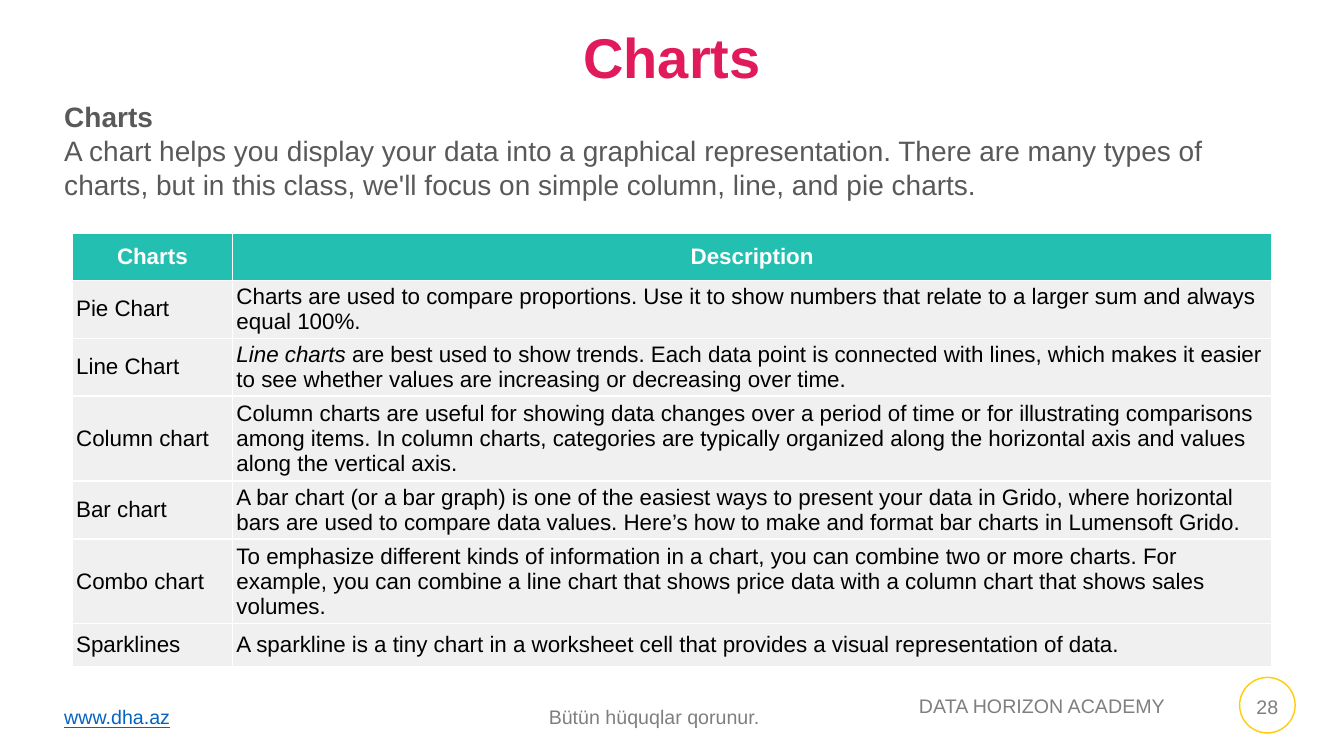
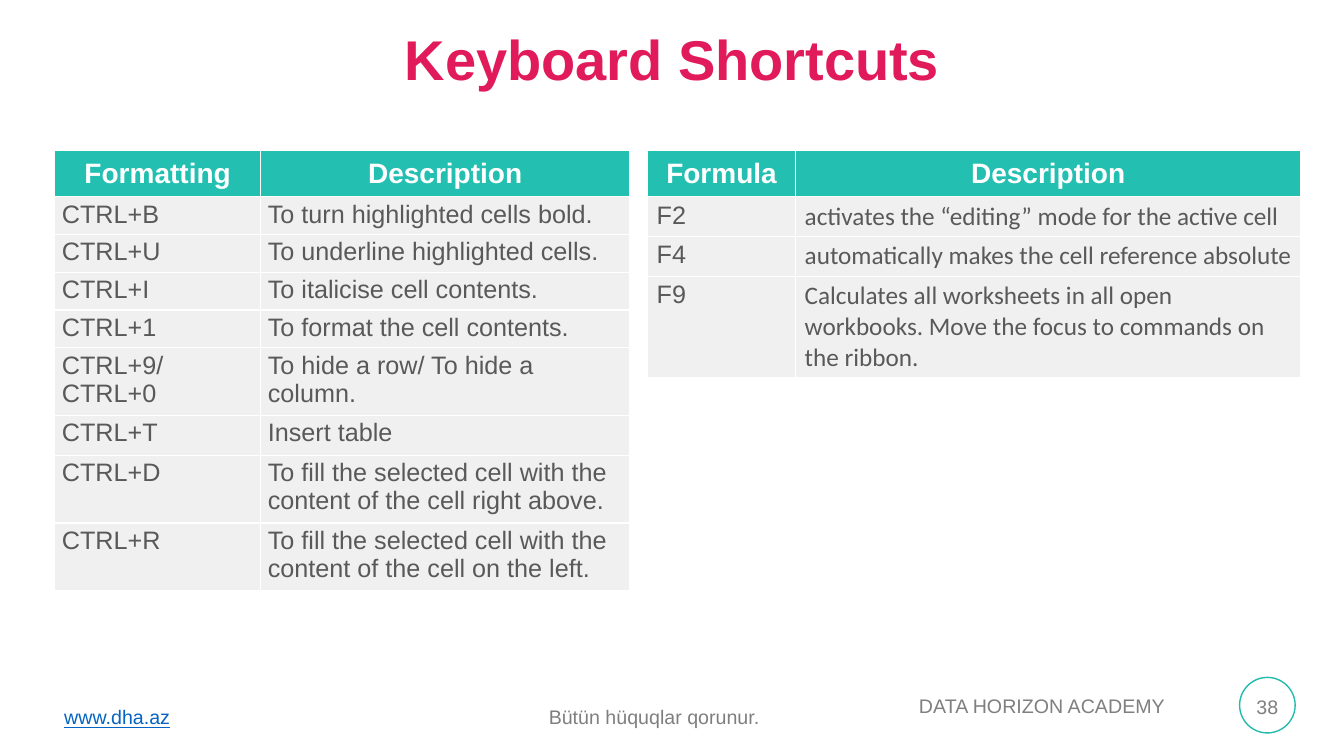
from lxml import etree
from pptx import Presentation
from pptx import util as u
from pptx.dml.color import RGBColor
from pptx.enum import shapes, text
from pptx.oxml.ns import qn

# Shared style
PINK, TEAL, PALE, WHITE = "E11A5B", "23C0B2", "F0F0F0", "FFFFFF"
BLACK, DARK, GREY, LINK = "000000", "595959", "7F7F7F", "0563C1"
YELLOW, TEAL_RING = "FFCC06", "22BBAD"
SANS, HUMANIST = "Arial", "Calibri"
CENTER, LEFT = text.PP_ALIGN.CENTER, text.PP_ALIGN.LEFT
MIDDLE, TOP = text.MSO_ANCHOR.MIDDLE, text.MSO_ANCHOR.TOP
WIDTH, HEIGHT = 33.87, 19.05

# Footer texts: text, left, top, width, alignment, colour, underlined
FOOTER = [
    ("www.dha.az", 1.37, 17.65, 5, LEFT, LINK, True),
    ("Bütün hüquqlar qorunur.", 13.58, 17.65, 7, LEFT, GREY, False),
    ("DATA HORIZON ACADEMY", 21.56, 17.37, 9.4, CENTER, GREY, False),
]

# Content: in a cell given as a pair, the first part is italic
INTRO = [
    ("Charts", True),
    ("A chart helps you display your data into a graphical representation. "
     "There are many types of charts, but in this class, we'll focus on simple "
     "column, line, and pie charts.", False),
]
CHART_TYPES = dict(
    left=1.82, top=5.87, columns=[4.04, 26.19],
    heights=[1.19, 1.46, 1.46, 2.14, 1.46, 2.14, 1.07],
    header_size=16, size=16, color=BLACK, fonts=[SANS, SANS],
    anchor=MIDDLE, margins=(0.1, 0.05),
    rows=[
        ("Charts", "Description"),
        ("Pie Chart", "Charts are used to compare proportions. Use it to show "
         "numbers that relate to a larger sum and always equal 100%."),
        ("Line Chart", ("Line charts ", "are best used to show trends. Each data "
         "point is connected with lines, which makes it easier to see whether "
         "values are increasing or decreasing over time.")),
        ("Column chart", "Column charts are useful for showing data changes over "
         "a period of time or for illustrating comparisons among items. In column "
         "charts, categories are typically organized along the horizontal axis "
         "and values along the vertical axis."),
        ("Bar chart", "A bar chart (or a bar graph) is one of the easiest ways to "
         "present your data in Grido, where horizontal bars are used to compare "
         "data values. Here’s how to make and format bar charts in Lumensoft "
         "Grido."),
        ("Combo chart", "To emphasize different kinds of information in a chart, "
         "you can combine two or more charts. For example, you can combine a line "
         "chart that shows price data with a column chart that shows sales "
         "volumes."),
        ("Sparklines", "A sparkline is a tiny chart in a worksheet cell that "
         "provides a visual representation of data."),
    ])
FORMATTING_KEYS = dict(
    left=1.38, top=3.79, columns=[5.19, 9.3],
    heights=[1.17] + [0.95] * 4 + [1.71, 1, 1.71, 1.71],
    header_size=20, size=18, color=DARK, fonts=[SANS, SANS],
    anchor=TOP, margins=(0.18, 0.09),
    rows=[
        ("Formatting", "Description"),
        ("CTRL+B", "To turn highlighted cells bold."),
        ("CTRL+U", "To underline highlighted cells."),
        ("CTRL+I", "To italicise cell contents."),
        ("CTRL+1", "To format the cell contents."),
        ("CTRL+9/CTRL+0", "To hide a row/ To hide a column."),
        ("CTRL+T", "Insert table"),
        ("CTRL+D", "To fill the selected cell with the content of the cell "
         "right above."),
        ("CTRL+R", "To fill the selected cell with the content of the cell "
         "on the left."),
    ])
FORMULA_KEYS = dict(
    left=16.32, top=3.79, columns=[3.73, 12.73],
    heights=[1.17, 1, 1, 2.5],
    header_size=20, size=18, color=DARK, fonts=[SANS, HUMANIST],
    anchor=TOP, margins=(0.23, 0.11),
    rows=[
        ("Formula", "Description"),
        ("F2", "activates the “editing” mode for the active cell"),
        ("F4", "automatically makes the cell reference absolute"),
        ("F9", "Calculates all worksheets in all open workbooks. Move the focus "
         "to commands on the ribbon."),
    ])
PAGES = [
    dict(title="Charts", title_top=0.66, number=28, ring=YELLOW,
         intro=INTRO, tables=[CHART_TYPES]),
    dict(title="Keyboard Shortcuts", title_top=0.71, number=38, ring=TEAL_RING,
         intro=[], tables=[FORMATTING_KEYS, FORMULA_KEYS]),
]


def rgb(color):
    return RGBColor.from_string(color)


def style(para, size, color, bold=False, align=LEFT, font=SANS):
    para.alignment = align
    para.font.name, para.font.size, para.font.bold = font, u.Pt(size), bold
    para.font.color.rgb = rgb(color)


def add_text_frame(page, left, top, width, height):
    box = page.shapes.add_textbox(*map(u.Cm, (left, top, width, height)))
    box.text_frame.word_wrap = True
    return box.text_frame


def add_title(page, title, top):
    box = page.shapes.title
    box.left, box.top, box.width, box.height = map(u.Cm, (0, top, WIDTH, 1.73))
    box.text_frame.text = title
    box.text_frame.vertical_anchor = MIDDLE
    para = box.text_frame.paragraphs[0]
    style(para, 40, PINK, True, CENTER)
    para.line_spacing = 0.9


def add_footer(page, number, ring_color):
    for words, left, top, width, align, color, underlined in FOOTER:
        frame = add_text_frame(page, left, top, width, 0.86)
        frame.text = words
        style(frame.paragraphs[0], 14, color, align=align)
        frame.paragraphs[0].font.underline = underlined
    # Ring with the page number
    ring = page.shapes.add_shape(shapes.MSO_SHAPE.OVAL,
                                 *map(u.Cm, (31.24, 17.07, 1.4, 1.4)))
    ring.shadow.inherit = False
    ring.fill.background()
    ring.line.color.rgb, ring.line.width = rgb(ring_color), u.Pt(1)
    frame = ring.text_frame
    frame.margin_left = frame.margin_right = frame.margin_bottom = 0
    frame.margin_top = u.Cm(0.08)
    frame.vertical_anchor = MIDDLE
    frame.text = str(number)
    style(frame.paragraphs[0], 14, GREY, align=CENTER)


def add_intro(page, lines):
    frame = add_text_frame(page, 1.37, 2.39, 31.42, 2.82)
    for i, (words, bold) in enumerate(lines):
        para = frame.add_paragraph() if i else frame.paragraphs[0]
        para.text = words
        style(para, 20, DARK, bold)


def set_borders(cell):
    properties = cell._tc.get_or_add_tcPr()
    for side in ("lnL", "lnR", "lnT", "lnB"):
        line = etree.SubElement(properties, qn("a:" + side), w=str(u.Pt(1)))
        fill = etree.SubElement(line, qn("a:solidFill"))
        etree.SubElement(fill, qn("a:srgbClr"), val=WHITE)


def fill_cell(cell, content, data, font, is_header):
    set_borders(cell)
    cell.fill.solid()
    cell.fill.fore_color.rgb = rgb(TEAL if is_header else PALE)
    across, down = (0.33, 0.15) if is_header else data["margins"]
    cell.margin_left = cell.margin_right = u.Cm(across)
    cell.margin_top = cell.margin_bottom = u.Cm(down)
    cell.vertical_anchor = MIDDLE if is_header else data["anchor"]
    para = cell.text_frame.paragraphs[0]
    if is_header:
        style(para, data["header_size"], WHITE, True, CENTER)
    else:
        style(para, data["size"], data["color"], font=font)
    parts = content if isinstance(content, tuple) else (content,)
    for i, words in enumerate(parts):
        span = para.add_run()
        span.text = words
        if len(parts) > 1 and i == 0:
            span.font.italic = True


def add_table(page, data):
    columns, heights, rows = data["columns"], data["heights"], data["rows"]
    table = page.shapes.add_table(
        len(rows), len(columns), u.Cm(data["left"]), u.Cm(data["top"]),
        u.Cm(sum(columns)), u.Cm(sum(heights))).table
    table.horz_banding = False
    for column, width in zip(table.columns, columns):
        column.width = u.Cm(width)
    for r, (row, height) in enumerate(zip(rows, heights)):
        table.rows[r].height = u.Cm(height)
        for c, content in enumerate(row):
            fill_cell(table.cell(r, c), content, data, data["fonts"][c], r == 0)


def main():
    deck = Presentation()
    deck.slide_width, deck.slide_height = u.Cm(WIDTH), u.Cm(HEIGHT)
    title_only = deck.slide_layouts[5]
    for data in PAGES:
        page = deck.slides.add_slide(title_only)
        add_title(page, data["title"], data["title_top"])
        if data["intro"]:
            add_intro(page, data["intro"])
        for table in data["tables"]:
            add_table(page, table)
        add_footer(page, data["number"], data["ring"])
    deck.save("out.pptx")


if __name__ == "__main__":
    main()
